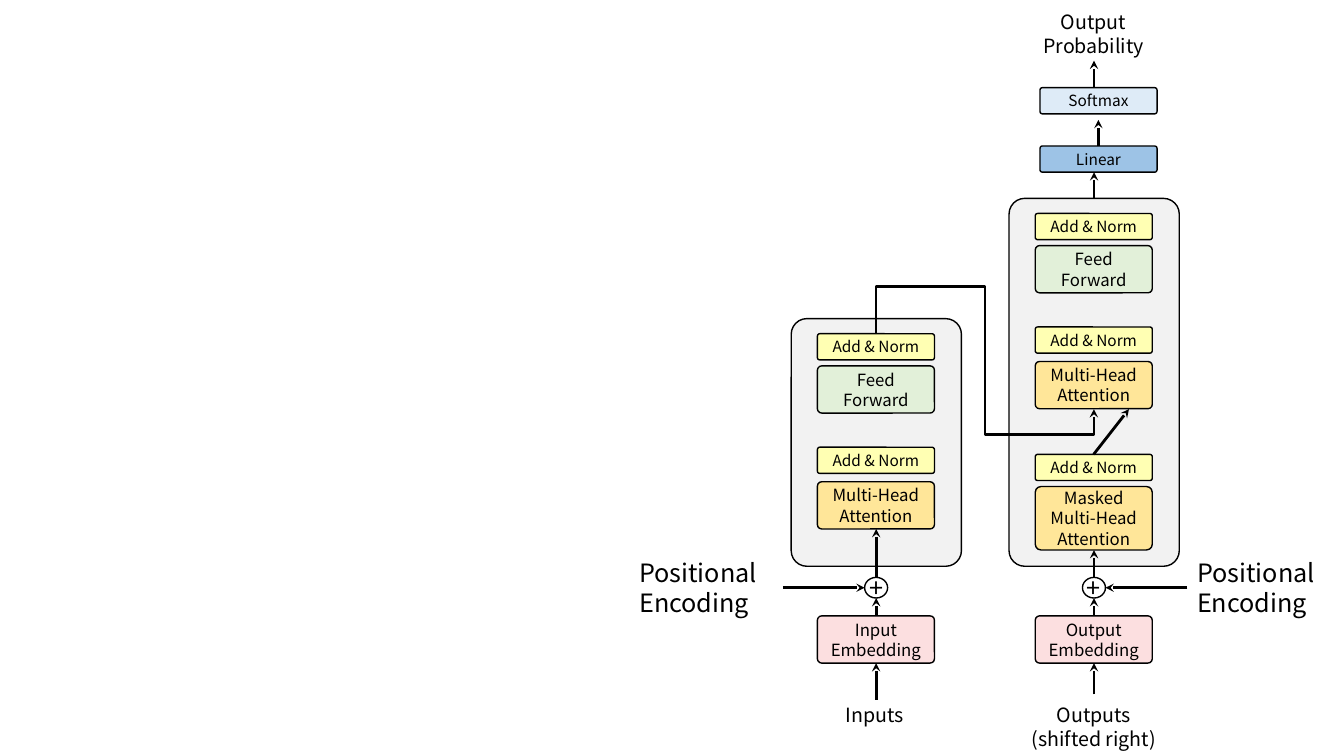
import pptx
import pptx.util
import pptx.dml.color
import pptx.enum.shapes
import pptx.enum.text
import lxml.etree
from pptx.util import Cm

FONT = "Noto Sans CJK KR"
BLACK = "000000"
PINK, ORANGE, YELLOW, GREEN = "FCDFE0", "FFE699", "FFFFB3", "E2F0D9"
GREY, BLUE, PALE_BLUE = "F2F2F2", "9DC3E6", "DEEBF7"
SHAPE = pptx.enum.shapes.MSO_SHAPE
LINE = pptx.enum.shapes.MSO_CONNECTOR
ALIGN = pptx.enum.text.PP_ALIGN
BLOCK_W, SMALL, MEDIUM, LARGE = 2.95, 0.66, 1.19, 1.6


def rgb(value):
    return pptx.dml.color.RGBColor.from_string(value)


def write(sp, text, size, align=ALIGN.CENTER):
    tf = sp.text_frame
    tf.text = text
    for p in tf.paragraphs:
        p.alignment = align
        p.font.size, p.font.name = pptx.util.Pt(size), FONT
        p.font.color.rgb = rgb(BLACK)
    return tf


def label(s, x, y, w, h, text, size=14, align=ALIGN.CENTER):
    sp = s.shapes.add_textbox(Cm(x), Cm(y), Cm(w), Cm(h))
    write(sp, text, size, align).word_wrap = True


def box(s, x, y, w, h, fill=None, kind=SHAPE.ROUNDED_RECTANGLE):
    sp = s.shapes.add_shape(kind, Cm(x), Cm(y), Cm(w), Cm(h))
    sp.shadow.inherit = False
    if kind == SHAPE.ROUNDED_RECTANGLE:
        sp.adjustments[0] = 0.092
    if fill:
        sp.fill.solid()
        sp.fill.fore_color.rgb = rgb(fill)
    else:
        sp.fill.background()
    sp.line.color.rgb = rgb(BLACK)
    sp.line.width = pptx.util.Pt(1)
    return sp


def block(s, x, y, h, fill, text, kind=SHAPE.ROUNDED_RECTANGLE, w=BLOCK_W):
    sp = box(s, x, y, w, h, fill, kind)
    tf = write(sp, text, 18 if text == "+" else 11 if h == SMALL else 12)
    tf.margin_left = tf.margin_right = tf.margin_top = tf.margin_bottom = 0
    tf.vertical_anchor = pptx.enum.text.MSO_ANCHOR.MIDDLE
    tf.word_wrap = False


def arrow(s, x1, y1, x2, y2, kind=LINE.STRAIGHT, end="tailEnd"):
    cxn = s.shapes.add_connector(kind, Cm(x1), Cm(y1), Cm(x2), Cm(y2))
    cxn.line.color.rgb = rgb(BLACK)
    cxn.line.width = pptx.util.Pt(2)
    ln = cxn.line._get_or_add_ln()
    lxml.etree.SubElement(ln, pptx.oxml.ns.qn("a:" + end), type="stealth")
    lxml.etree.SubElement(cxn._element.spPr, pptx.oxml.ns.qn("a:effectLst"))
    return cxn


def stack(s, x, y, h, layers):
    """Panel with its blocks; each layer is (offset, height, fill, text)."""
    box(s, x, y, 4.29, h, GREY)
    for top, height, fill, text in layers:
        block(s, x + 0.66, y + top, height, fill, text)
    last_top, last_height = layers[-1][:2]
    arrow(s, x + 2.14, y + h + 0.28, x + 2.14, y + last_top + last_height)


def feed(s, x, y, embedding, side, tail):
    """Embedding and positional sum below a panel; side is -1 left, 1 right."""
    mid = x + 2.14
    block(s, mid - 0.29, y + 0.28, 0.52, None, "+", SHAPE.OVAL, 0.58)
    block(s, x + 0.66, y + 1.25, MEDIUM, PINK, embedding)
    arrow(s, mid, y + 1.25, mid, y + 0.8)
    arrow(s, mid, y + tail, mid, y + 2.44)
    outer = mid + side * 2.35
    arrow(s, outer, y + 0.54, mid + side * 0.29, y + 0.54)
    left = outer if side > 0 else outer - 3.87
    label(s, left, y - 0.35, 3.81, 1.8, "Positional Encoding", 18, ALIGN.LEFT)


def output_head(s, x, y):
    """Linear and softmax above the decoder."""
    block(s, x, y + 3.55, SMALL, BLUE, "Linear")
    block(s, x, y + 2.08, SMALL, PALE_BLUE, "Softmax")
    for dx, start, tip in ((1.36, 4.87, 4.21), (1.47, 3.55, 2.89), (1.36, 2.08, 1.4)):
        arrow(s, x + dx, y + start, x + dx, y + tip)
    label(s, x - 0.43, y, 3.56, 1.45, "Output Probability")


def cross_link(s, x, y, w, h):
    """Route from the encoder top (lower left) to the decoder attention."""
    mid_x, mid_y = x + w / 2, y + h / 2
    cxn = arrow(s, mid_x + h / 2, mid_y - w / 2, mid_x - h / 2, mid_y + w / 2,
                LINE.ELBOW, "headEnd")
    cxn._element.spPr.find(pptx.oxml.ns.qn("a:xfrm")).set("rot", "5400000")
    geom = cxn._element.spPr.find(pptx.oxml.ns.qn("a:prstGeom"))
    geom.set("prst", "bentConnector5")
    guides = geom.get_or_add_avLst()
    for i, value in enumerate((-33200, 50000, 162300), 1):
        lxml.etree.SubElement(guides, pptx.oxml.ns.qn("a:gd"),
                              name=f"adj{i}", fmla=f"val {value}")


prs = pptx.Presentation()
prs.slide_width, prs.slide_height = Cm(33.87), Cm(19.05)
s = prs.slides.add_slide(prs.slide_layouts[6])

# Encoder and decoder share their upper four layers
upper = [(0.38, SMALL, YELLOW, "Add & Norm"),
         (1.19, MEDIUM, GREEN, "Feed\vForward"),
         (3.24, SMALL, YELLOW, "Add & Norm"),
         (4.11, MEDIUM, ORANGE, "Multi-Head\vAttention")]
masked = [(6.45, SMALL, YELLOW, "Add & Norm"),
          (7.26, LARGE, ORANGE, "Masked\vMulti-Head\vAttention")]
ENC_X, DEC_X, BOTTOM = 19.94, 25.43, 14.27
stack(s, ENC_X, 8.03, 6.24, upper)
stack(s, DEC_X, 5, 9.27, upper + masked)
arrow(s, DEC_X + 2.13, 11.45, DEC_X + 3.02, 10.31)

# Inputs
feed(s, ENC_X, BOTTOM, "Input\nEmbedding", -1, 3.36)
feed(s, DEC_X, BOTTOM, "Output\nEmbedding", 1, 3.23)
label(s, 21.06, 17.6, 2.59, 0.86, "Inputs", align=ALIGN.LEFT)
label(s, 25.68, 17.6, 3.78, 1.45, "Outputs\v(shifted right)")

# Output and encoder-decoder link
output_head(s, 26.21, 0.13)
cross_link(s, ENC_X + 2.14, 8.41, 5.49, 1.9)

prs.save("out.pptx")
